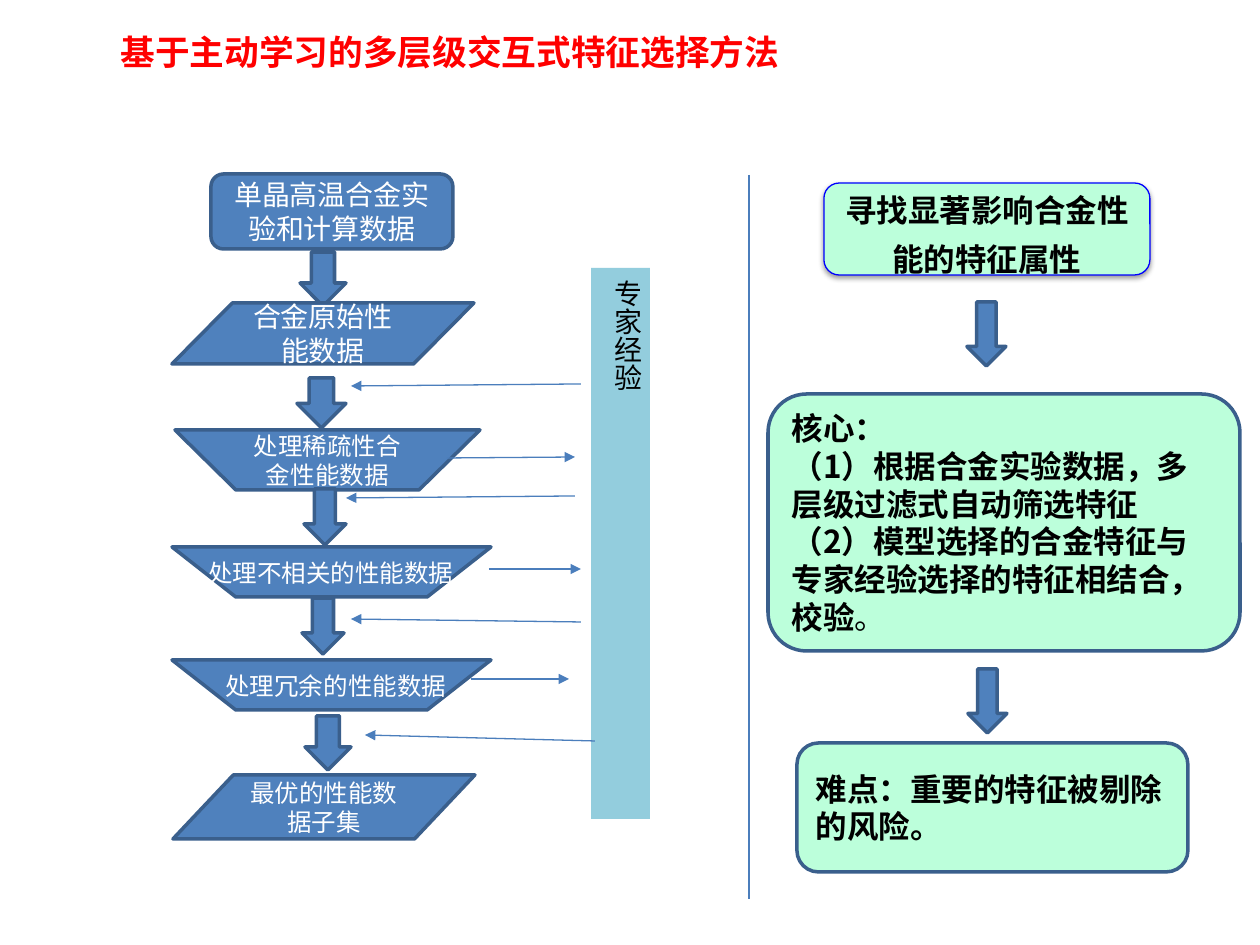
from dataclasses import dataclass

from lxml.etree import SubElement
from pptx import Presentation
from pptx.dml.color import RGBColor
from pptx.enum.shapes import MSO_CONNECTOR, MSO_SHAPE
from pptx.enum.text import MSO_ANCHOR, PP_ALIGN
from pptx.oxml.ns import qn
from pptx.util import Pt

PX = 914400 // 126


@dataclass(frozen=True)
class Theme:
    blue: str = "4F81BD"
    edge: str = "3A5F8C"
    thin: str = "4B7EBC"
    mint: str = "BCFFDB"
    mint_edge: str = "0000FF"
    aqua: str = "93CDDD"
    title: str = "FF0000"
    light: str = "FFFFFF"
    dark: str = "000000"
    body_font: str = "Calibri"
    heading_font: str = "Noto Sans CJK SC"
    title_size: float = 19.8
    large: int = 18
    medium: int = 16
    small: int = 14
    heavy_line: float = 2
    thin_line: float = 0.75
    tight: float = 21.6  # fixed line height of the remarks


THEME = Theme()


def px(*lengths):
    return [length * PX for length in lengths]


def rgb(value):
    return RGBColor.from_string(value)


def format_paragraph(paragraph, size, color, bold=False, font=THEME.body_font,
                     align=PP_ALIGN.CENTER, spacing=None):
    paragraph.alignment = align
    paragraph.line_spacing = spacing
    paragraph.font.size = Pt(size)
    paragraph.font.bold = bold
    paragraph.font.color.rgb = rgb(color)
    paragraph.font.name = font
    # East Asian text keeps the line height of the body font
    defaults = paragraph._p.pPr.find(qn("a:defRPr"))
    SubElement(defaults, qn("a:ea")).set("typeface", THEME.body_font)


def write(shape, lines, size, color=THEME.light, anchor=MSO_ANCHOR.MIDDLE, **style):
    frame = shape.text_frame
    frame.word_wrap = True
    frame.vertical_anchor = anchor
    for index, line in enumerate(lines):
        paragraph = frame.add_paragraph() if index else frame.paragraphs[0]
        paragraph.add_run().text = line
        format_paragraph(paragraph, size, color, **style)


def add_block(shapes, kind, box, fill=THEME.blue, edge=THEME.edge, width=THEME.heavy_line):
    block = shapes.add_shape(kind, *px(*box))
    block.shadow.inherit = False
    block.fill.solid()
    block.fill.fore_color.rgb = rgb(fill)
    if edge:
        block.line.color.rgb = rgb(edge)
        block.line.width = Pt(width)
    else:
        block.line.fill.background()
    return block


def add_label(shapes, box, text, align):
    label = shapes.add_textbox(*px(*box))
    write(label, [text], THEME.small, anchor=MSO_ANCHOR.TOP, align=align)


def add_line(shapes, start, end, arrow=True):
    line = shapes.add_connector(MSO_CONNECTOR.STRAIGHT, *px(*start, *end))
    line.line.color.rgb = rgb(THEME.thin)
    line.line.width = Pt(THEME.thin_line)
    if arrow:
        SubElement(line.line._get_or_add_ln(), qn("a:tailEnd")).set("type", "triangle")
    SubElement(line._element.spPr, qn("a:effectLst"))


def add_soft_shadow(shape):
    effects = shape._element.spPr.find(qn("a:effectLst"))
    shadow = SubElement(effects, qn("a:outerShdw"), blurRad="39370", dist="20320",
                        dir="5400000", rotWithShape="0")
    color = SubElement(shadow, qn("a:srgbClr"), val=THEME.dark)
    SubElement(color, qn("a:alpha"), val="38000")


def add_title(slide):
    title = slide.shapes.title
    title.left, title.top, title.width, title.height = px(108, 25, 1132, 112)
    write(title, ["基于主动学习的多层级交互式特征选择方法"], THEME.title_size, THEME.title,
          anchor=MSO_ANCHOR.TOP, bold=True, font=THEME.heading_font, align=PP_ALIGN.LEFT)


def add_process(shapes):
    data, funnel = MSO_SHAPE.FLOWCHART_DATA, MSO_SHAPE.FLOWCHART_MANUAL_OPERATION
    # Each step, followed by the arrow that leads to the next one
    steps = [
        (MSO_SHAPE.ROUNDED_RECTANGLE, (211, 174, 242, 75), "单晶高温合金实验和计算数据",
         THEME.medium, (300, 252, 46, 54)),
        (data, (172, 303, 302, 61), "合金原始性能数据", THEME.medium, (297, 378, 49, 50)),
        (funnel, (175, 430, 305, 60), "处理稀疏性合金性能数据", THEME.small, (304, 489, 42, 56)),
        (funnel, (172, 547, 319, 50), None, None, (302, 598, 42, 56)),
        (funnel, (172, 660, 319, 50), None, None, (305, 716, 46, 54)),
        (data, (173, 775, 302, 64), "最优的性能数据子集", THEME.small, None),
    ]
    for kind, box, text, size, arrow in steps:
        step = add_block(shapes, kind, box)
        if text:
            write(step, [text], size)
        if arrow:
            add_block(shapes, MSO_SHAPE.DOWN_ARROW, arrow)

    # Captions wider than the text area of their funnels
    add_label(shapes, (173, 552, 316, 35), "处理不相关的性能数据", PP_ALIGN.CENTER)
    add_label(shapes, (213, 665, 257, 35), "处理冗余的性能数据", PP_ALIGN.LEFT)


def add_expertise(shapes):
    expertise = add_block(shapes, MSO_SHAPE.RECTANGLE, (591, 268, 59, 551), THEME.aqua, None)
    write(expertise, ["专家经验"], THEME.medium, THEME.dark,
          anchor=MSO_ANCHOR.TOP, align=PP_ALIGN.LEFT)
    expertise.text_frame.margin_top = 12 * PX
    expertise.text_frame._txBody.bodyPr.set("vert", "eaVert")

    # Exchange between the process and the experts
    exchanges = [
        ((581, 384), (351, 386)),
        ((447, 458), (575, 457)),
        ((575, 496), (346, 498)),
        ((489, 569), (581, 569)),
        ((581, 622), (351, 619)),
        ((471, 679), (569, 679)),
        ((595, 741), (365, 735)),
    ]
    for start, end in exchanges:
        add_line(shapes, start, end)


def add_summary(shapes):
    rounded = MSO_SHAPE.ROUNDED_RECTANGLE
    remark = dict(bold=True, align=PP_ALIGN.LEFT, spacing=Pt(THEME.tight))

    core = add_block(shapes, rounded, (768, 394, 472, 257), THEME.mint)
    core.adjustments[0] = 0.15
    write(core, ["核心：", "（1）根据合金实验数据，多层级过滤式自动筛选特征"
                 "（2）模型选择的合金特征与专家经验选择的特征相结合，校验"],
          THEME.large, THEME.dark, font=THEME.heading_font, **remark)
    full_stop = core.text_frame.paragraphs[1].add_run()
    full_stop.text = "。"
    full_stop.font.bold = False

    goal = add_block(shapes, MSO_SHAPE.FLOWCHART_ALTERNATE_PROCESS, (824, 183, 326, 92),
                     THEME.mint, THEME.mint_edge, THEME.thin_line)
    add_soft_shadow(goal)
    write(goal, ["寻找显著影响合金性能的特征属性"], THEME.large, THEME.dark,
          bold=True, spacing=1.3)

    difficulty = add_block(shapes, rounded, (797, 743, 391, 129), THEME.mint)
    write(difficulty, ["难点：重要的特征被剔除的风险。"], THEME.large, THEME.dark, **remark)

    for left, top in ((967, 302), (968, 669)):
        add_block(shapes, MSO_SHAPE.DOWN_ARROW, (left, top, 39, 64))
    add_line(shapes, (749, 175), (749, 899), arrow=False)


def main():
    deck = Presentation()
    deck.slide_width, deck.slide_height = px(1260, 945)
    slide = deck.slides.add_slide(deck.slide_layouts[5])
    add_title(slide)
    process = slide.shapes.add_group_shape().shapes
    add_process(process)
    add_expertise(process)
    add_summary(slide.shapes.add_group_shape().shapes)
    deck.save("out.pptx")


if __name__ == "__main__":
    main()
